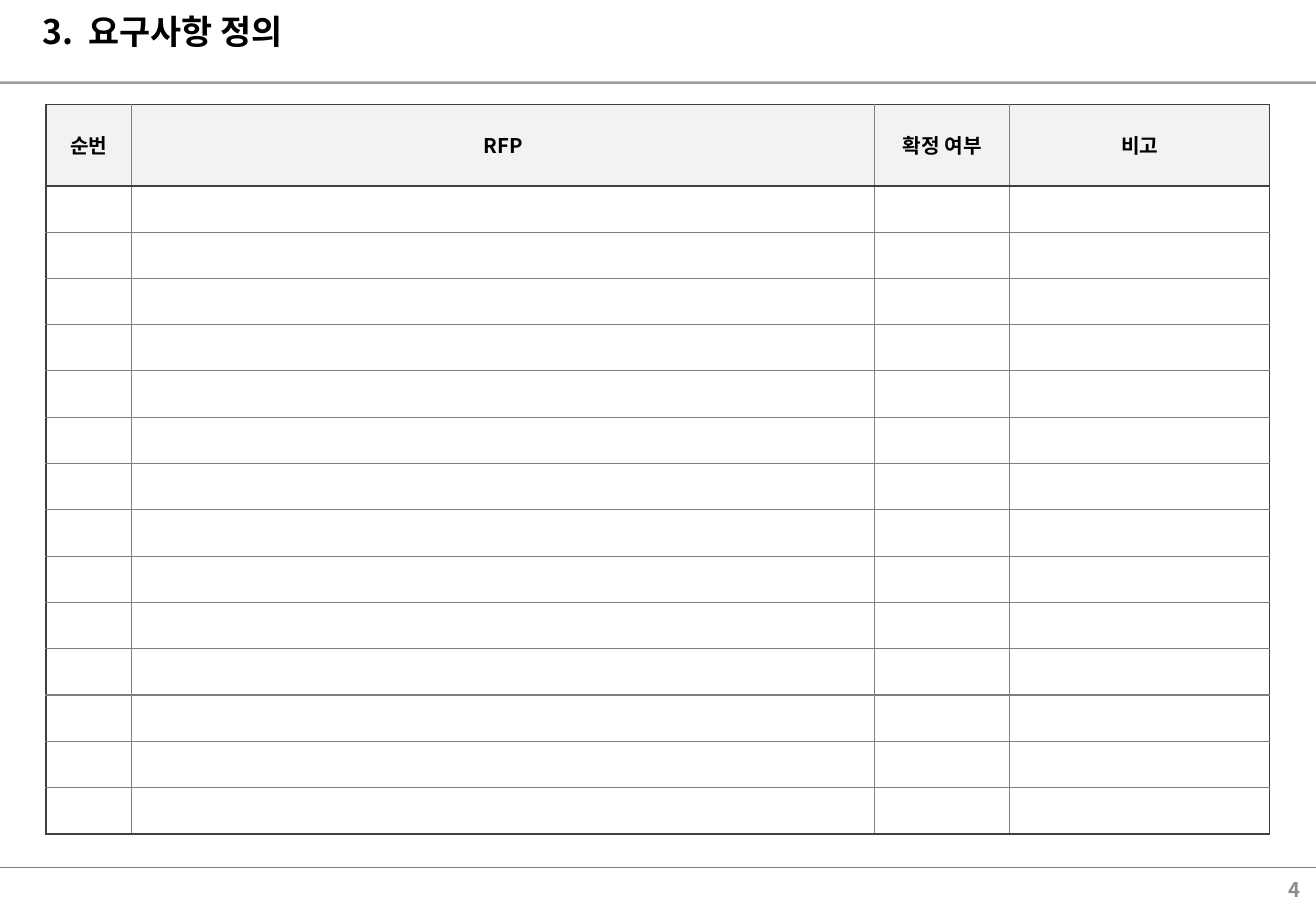
from lxml.etree import SubElement
from pptx import Presentation
from pptx.dml.color import RGBColor
from pptx.enum.shapes import MSO_CONNECTOR
from pptx.enum.text import MSO_ANCHOR, PP_ALIGN
from pptx.oxml.ns import qn
from pptx.util import Inches, Pt

# Content
TITLE = ["3.", " ", "요구사항 정의"]
PAGE = "4"
HEADERS = ["순번", "RFP", "확정 여부", "비고"]
EMPTY_ROWS = 14

# Layout, in inches
W, H = 10.83, 7.5
COLUMNS = [0.7, 6.12, 1.11, 2.14]
TABLE_LEFT, TABLE_TOP, TABLE_HEIGHT = 0.38, 0.86, 6.01
HEADER_HEIGHT = 0.67
ROW_HEIGHT = (TABLE_HEIGHT - HEADER_HEIGHT) / EMPTY_ROWS
RULES = [(7.14, 0.75, 100), (0.68, 1.5, 76)]  # y, points, opacity %

FONT = "Noto Sans CJK KR"
BLACK, GRAY, DARK = "000000", "808080", "404040"
HEADER_FILL, PAGE_COLOR = "F2F2F2", "8C8C8C"


def rgb(value):
    return RGBColor.from_string(value)


def style(r, size, color):
    r.font.size, r.font.bold, r.font.name = Pt(size), True, FONT
    r.font.color.rgb = rgb(color)
    SubElement(r._r.get_or_add_rPr(), qn("a:ea"), typeface=FONT)


def add_text(slide, box, runs, size, color, align, anchor, inset):
    tf = slide.shapes.add_textbox(*map(Inches, box)).text_frame
    tf.word_wrap = True
    tf.vertical_anchor = anchor
    tf.margin_top = tf.margin_bottom = Inches(inset)
    p = tf.paragraphs[0]
    p.alignment = align
    for text in runs:
        r = p.add_run()
        r.text = text
        style(r, size, color)
    return p


def add_rule(slide, y, width, opacity):
    line = slide.shapes.add_connector(
        MSO_CONNECTOR.STRAIGHT, 0, Inches(y), Inches(W), Inches(y))
    line.line.width = Pt(width)
    line.line.color.rgb = rgb(GRAY)
    SubElement(line._element.spPr, qn("a:effectLst"))
    if opacity < 100:
        color = line._element.spPr.find(".//" + qn("a:srgbClr"))
        SubElement(color, qn("a:alpha"), val=str(opacity * 1000))


def set_border(cell, side, color, width):
    ln = SubElement(cell._tc.get_or_add_tcPr(), qn("a:ln" + side), w=str(Pt(width)))
    SubElement(SubElement(ln, qn("a:solidFill")), qn("a:srgbClr"), val=color)


prs = Presentation()
prs.slide_width, prs.slide_height = Inches(W), Inches(H)
s = prs.slides.add_slide(prs.slide_layouts[6])

# Rules, title and page number
for rule in RULES:
    add_rule(s, *rule)
title = add_text(s, (0.25, 0.09, 10.43, 0.49), TITLE, 20, BLACK,
                 PP_ALIGN.LEFT, MSO_ANCHOR.TOP, 0)
title.runs[1].font._element.set("spc", "450")  # wider gap after the number
add_text(s, (8.36, 7.17, 2.44, 0.31), [PAGE], 12, PAGE_COLOR,
         PP_ALIGN.RIGHT, MSO_ANCHOR.MIDDLE, 0.05)

# Requirements table
row_count, col_count = EMPTY_ROWS + 1, len(COLUMNS)
table = s.shapes.add_table(
    row_count, col_count, Inches(TABLE_LEFT), Inches(TABLE_TOP),
    Inches(sum(COLUMNS)), Inches(TABLE_HEIGHT)).table
table.horz_banding = False
for column, width in zip(table.columns, COLUMNS):
    column.width = Inches(width)

for i, row in enumerate(table.rows):
    row.height = Inches(ROW_HEIGHT if i else HEADER_HEIGHT)
    for j, cell in enumerate(row.cells):
        cell.vertical_anchor = MSO_ANCHOR.MIDDLE
        p = cell.text_frame.paragraphs[0]
        p.alignment = PP_ALIGN.CENTER
        # Dark lines run round the table and below the header
        dark_sides = {"L": j == 0, "R": j == col_count - 1,
                      "T": i <= 1, "B": i in (0, row_count - 1)}
        for side, dark in dark_sides.items():
            set_border(cell, side, *((DARK, 1) if dark else (GRAY, 0.75)))
        if i == 0:
            p.text = HEADERS[j]
            style(p.runs[0], 12, BLACK)
            cell.fill.solid()
            cell.fill.fore_color.rgb = rgb(HEADER_FILL)
        else:
            SubElement(p._p, qn("a:endParaRPr"), sz="1200")
            cell.fill.background()

prs.save("out.pptx")
